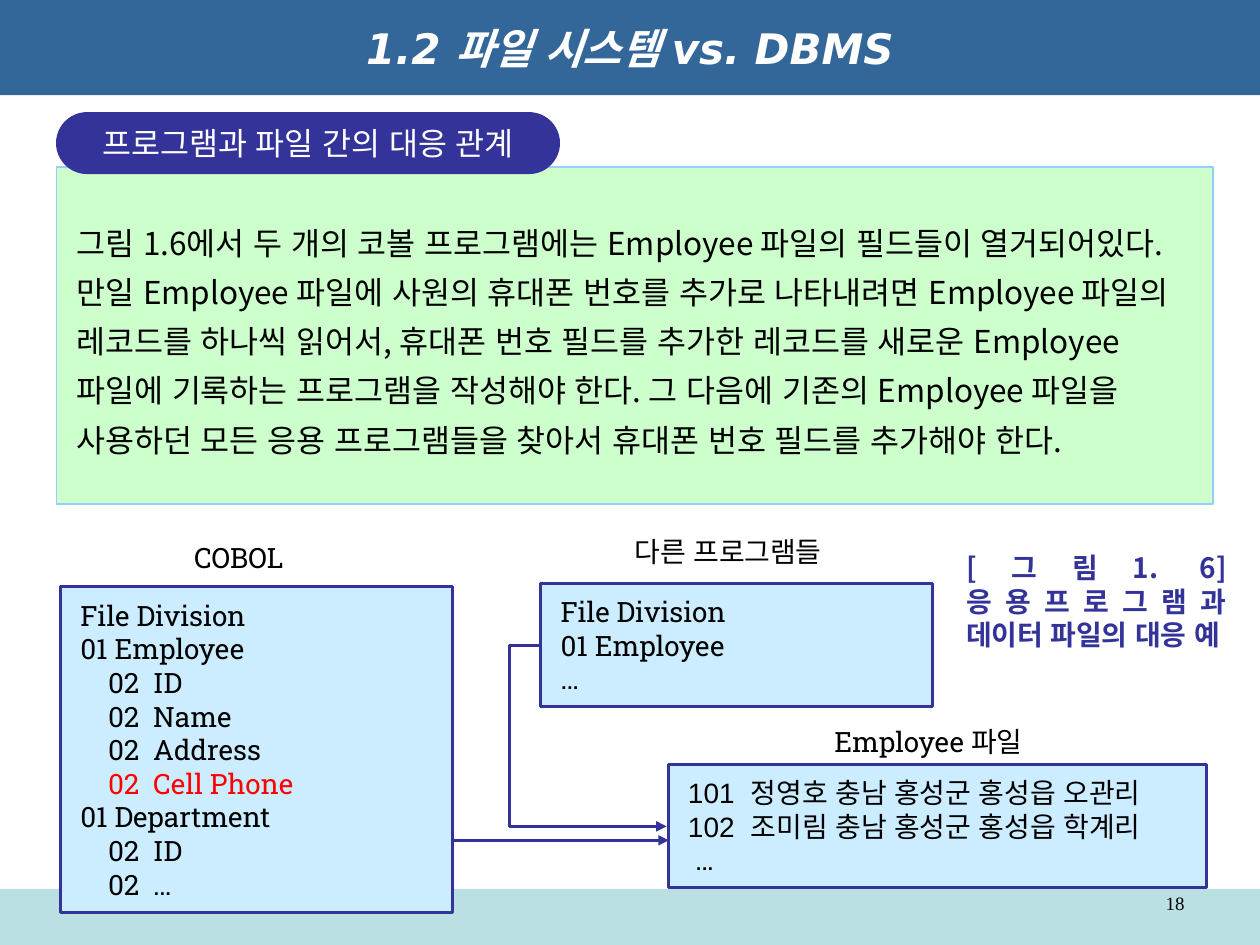
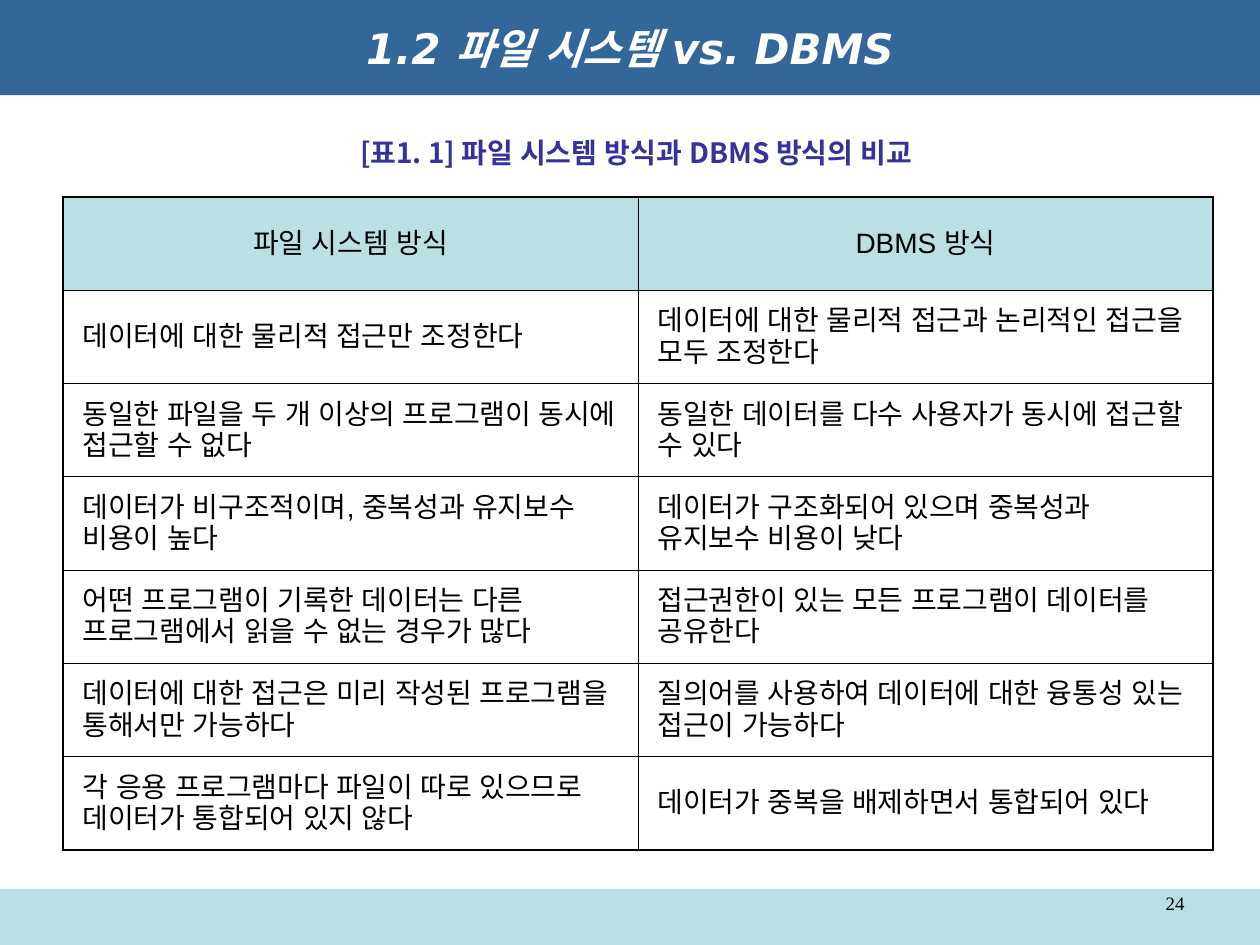
from dataclasses import dataclass

from lxml import etree
from pptx import Presentation
from pptx.dml.color import RGBColor
from pptx.enum.shapes import MSO_CONNECTOR, MSO_SHAPE
from pptx.enum.text import MSO_ANCHOR, PP_ALIGN
from pptx.oxml.ns import qn
from pptx.util import Cm, Pt

RECTANGLE, PILL = MSO_SHAPE.RECTANGLE, MSO_SHAPE.ROUNDED_RECTANGLE
STRAIGHT, ELBOW = MSO_CONNECTOR.STRAIGHT, MSO_CONNECTOR.ELBOW
LEFT, CENTER, RIGHT, JUSTIFY = PP_ALIGN.LEFT, PP_ALIGN.CENTER, PP_ALIGN.RIGHT, PP_ALIGN.JUSTIFY
TOP, MIDDLE = MSO_ANCHOR.TOP, MSO_ANCHOR.MIDDLE


@dataclass(frozen=True)
class Theme:
    title_band: str = "336699"
    footer_band: str = "BBE0E3"
    accent: str = "333399"
    note_fill: str = "CCFFCC"
    note_line: str = "99CCFF"
    code_fill: str = "CCECFF"
    highlight: str = "FF0000"
    ink: str = "000000"
    paper: str = "FFFFFF"
    title_font: str = "DejaVu Sans"
    body_font: str = "Noto Sans CJK KR"
    code_font: str = "Roboto Slab"
    table_font: str = "Arial"
    number_font: str = "Times New Roman"
    east_asian_font: str = "Arial"
    title_size: float = 24
    body_size: float = 18
    small_size: float = 16
    number_size: float = 10.8
    line_width: float = 1.75
    outer_border: float = 1.08
    inner_border: float = 0.45


theme = Theme()


def write(frame, text, font=theme.body_font, size=theme.small_size, color=theme.ink,
          bold=False, italic=False, align=LEFT, anchor=TOP, spacing=None,
          wrap=True, inset=(0.25, 0.13)):
    """Fill a text frame, one paragraph for each line of text."""
    frame.word_wrap = wrap
    frame.vertical_anchor = anchor
    frame.margin_left = frame.margin_right = Cm(inset[0])
    frame.margin_top = frame.margin_bottom = Cm(inset[1])
    for index, line in enumerate(text.split("\n")):
        paragraph = frame.add_paragraph() if index else frame.paragraphs[0]
        paragraph.alignment = align
        paragraph.line_spacing = spacing
        run = paragraph.add_run()
        run.text = line
        run.font.name, run.font.size = font, Pt(size)
        run.font.bold, run.font.italic = bold, italic
        run.font.color.rgb = RGBColor.from_string(color)
        east_asian = etree.SubElement(run.font._element, qn("a:ea"))
        east_asian.set("typeface", theme.east_asian_font)


def add_panel(slide, kind, area, fill, line=None, line_width=theme.line_width):
    """Add a filled shape; area is left, top, width, height in centimetres."""
    shape = slide.shapes.add_shape(kind, *map(Cm, area))
    shape.shadow.inherit = False
    shape.fill.solid()
    shape.fill.fore_color.rgb = RGBColor.from_string(fill)
    if line:
        shape.line.color.rgb = RGBColor.from_string(line)
        shape.line.width = Pt(line_width)
    else:
        shape.line.fill.background()
    return shape


presentation = Presentation()
presentation.slide_width, presentation.slide_height = Cm(25.4), Cm(19.05)
title_only = presentation.slide_layouts[5]

# Shared title band, footer band and page number
for page_number in ("18", "24"):
    slide = presentation.slides.add_slide(title_only)
    add_panel(slide, RECTANGLE, (0, 17.92, 25.4, 1.13), theme.footer_band)
    title = slide.shapes.title
    title.left, title.top, title.width, title.height = Cm(0), Cm(0), Cm(25.4), Cm(1.92)
    title.fill.solid()
    title.fill.fore_color.rgb = RGBColor.from_string(theme.title_band)
    write(title.text_frame, "1.2 파일 시스템 vs. DBMS", font=theme.title_font,
          size=theme.title_size, color=theme.paper, bold=True, italic=True,
          align=CENTER, anchor=MIDDLE)
    number = slide.shapes.add_textbox(Cm(18.21), Cm(17.93), Cm(5.92), Cm(0.74))
    write(number.text_frame, page_number, font=theme.number_font, size=theme.number_size,
          align=RIGHT, spacing=0.8)

mapping_slide, comparison_slide = presentation.slides

# Explanation with its heading pill
explanation = add_panel(mapping_slide, RECTANGLE, (1.14, 3.37, 23.31, 6.79),
                        theme.note_fill, theme.note_line, 1)
write(explanation.text_frame,
      "그림 1.6에서 두 개의 코볼 프로그램에는 Employee 파일의 필드들이 열거되어있다. "
      "만일 Employee 파일에 사원의 휴대폰 번호를 추가로 나타내려면 Employee 파일의 "
      "레코드를 하나씩 읽어서, 휴대폰 번호 필드를 추가한 레코드를 새로운 Employee 파일에 "
      "기록하는 프로그램을 작성해야 한다. 그 다음에 기존의 Employee 파일을 사용하던 모든 "
      "응용 프로그램들을 찾아서 휴대폰 번호 필드를 추가해야 한다.",
      size=theme.body_size, anchor=MIDDLE, spacing=1.3, inset=(0.4, 0.4))
heading = add_panel(mapping_slide, PILL, (1.13, 2.26, 10.16, 1.25), theme.accent)
heading.adjustments[0] = 0.5
write(heading.text_frame, "프로그램과 파일 간의 대응 관계", size=theme.body_size,
      color=theme.paper, align=CENTER, anchor=MIDDLE, wrap=False)

# Programs and the data file: label, label area, panel area, content
cobol_code = """File Division
01 Employee
    02  ID
    02  Name
    02  Address
    02  Cell Phone
01 Department
    02  ID
    02  …"""
panels = [
    ("COBOL", (3.38, 10.55, 2.87, 1.47), (1.22, 11.82, 7.9, 6.58), cobol_code),
    ("다른 프로그램들", (12.29, 10.44, 4.78, 1.47), (10.9, 11.76, 7.9, 2.49),
     "File Division\n01 Employee\n…"),
    ("Employee 파일", (16.29, 14.27, 4.85, 1.47), (13.47, 15.41, 10.86, 2.49),
     "정영호 충남 홍성군 홍성읍 오관리\n조미림 충남 홍성군 홍성읍 학계리\n…"),
]
frames = []
for label, label_area, panel_area, content in panels:
    panel = add_panel(mapping_slide, RECTANGLE, panel_area, theme.code_fill, theme.accent)
    write(panel.text_frame, content, font=theme.code_font, anchor=MIDDLE, wrap=False,
          inset=(0.4, 0.4))
    frames.append(panel.text_frame)
    label_box = mapping_slide.shapes.add_textbox(*map(Cm, label_area))
    write(label_box.text_frame, label, font=theme.code_font, align=CENTER, wrap=False,
          inset=(0.4, 0.4))
cobol_frame, _, file_frame = frames

# Added field, and record numbers counted from 101
cobol_frame.paragraphs[5].runs[0].font.color.rgb = RGBColor.from_string(theme.highlight)
*records, ellipsis = file_frame.paragraphs
for record in records:
    properties = record._p.get_or_add_pPr()
    properties.set("marL", str(Cm(1.27)))
    properties.set("indent", str(Cm(-1.27)))
    etree.SubElement(properties, qn("a:buFont")).set("typeface", theme.code_font)
    numbering = etree.SubElement(properties, qn("a:buAutoNum"))
    numbering.set("type", "arabicPlain")
    numbering.set("startAt", "101")
ellipsis._p.get_or_add_pPr().set("marL", str(Cm(0.15)))

# Arrows from the programs to the file
arrows = [
    (STRAIGHT, (9.09, 16.94, 13.48, 16.94), None),
    (ELBOW, (10.87, 13.01, 13.44, 16.66), -23500),
]
for kind, ends, bend in arrows:
    arrow = mapping_slide.shapes.add_connector(kind, *map(Cm, ends))
    arrow.line.color.rgb = RGBColor.from_string(theme.accent)
    arrow.line.width = Pt(theme.line_width)
    etree.SubElement(arrow.line._get_or_add_ln(), qn("a:tailEnd")).set("type", "triangle")
    etree.SubElement(arrow._element.spPr, qn("a:effectLst"))
    if bend:
        guide = etree.SubElement(arrow._element.spPr.prstGeom.get_or_add_avLst(), qn("a:gd"))
        guide.set("name", "adj1")
        guide.set("fmla", f"val {bend}")

# Captions of the figure and the table
captions = [
    (mapping_slide, (19.23, 10.97, 5.75, 2.97), JUSTIFY,
     "[그림1. 6] 응용프로그램과 데이터 파일의 대응 예"),
    (comparison_slide, (4.39, 2.6, 16.87, 0.94), CENTER,
     "[표1. 1] 파일 시스템 방식과 DBMS 방식의 비교"),
]
for slide, area, align, text in captions:
    caption = slide.shapes.add_textbox(*map(Cm, area))
    write(caption.text_frame, text, color=theme.accent, bold=True, align=align)

# Comparison table
rows = [
    ("파일 시스템 방식", "DBMS 방식"),
    ("데이터에 대한 물리적 접근만 조정한다",
     "데이터에 대한 물리적 접근과 논리적인 접근을 모두 조정한다"),
    ("동일한 파일을 두 개 이상의 프로그램이 동시에 접근할 수 없다",
     "동일한 데이터를 다수 사용자가 동시에 접근할 수 있다"),
    ("데이터가 비구조적이며, 중복성과 유지보수 비용이 높다",
     "데이터가 구조화되어 있으며 중복성과 유지보수 비용이 낮다"),
    ("어떤 프로그램이 기록한 데이터는 다른 프로그램에서 읽을 수 없는 경우가 많다",
     "접근권한이 있는 모든 프로그램이 데이터를 공유한다"),
    ("데이터에 대한 접근은 미리 작성된 프로그램을 통해서만 가능하다",
     "질의어를 사용하여 데이터에 대한 융통성 있는 접근이 가능하다"),
    ("각 응용 프로그램마다 파일이 따로 있으므로 데이터가 통합되어 있지 않다",
     "데이터가 중복을 배제하면서 통합되어 있다"),
]
table = comparison_slide.shapes.add_table(
    len(rows), 2, Cm(1.27), Cm(3.97), Cm(23.18), Cm(13.16)).table
table.first_row = table.horz_banding = False
for row_index, row in enumerate(rows):
    for column_index, text in enumerate(row):
        cell = table.cell(row_index, column_index)
        is_header = row_index == 0
        write(cell.text_frame, text, font=theme.table_font,
              align=CENTER if is_header else LEFT)
        cell.vertical_anchor = MIDDLE
        cell.margin_left = cell.margin_right = Cm(0.4)
        cell.margin_top = cell.margin_bottom = Cm(0.13)
        outer_sides = {"L": column_index == 0, "R": column_index == 1,
                       "T": is_header, "B": row_index == len(rows) - 1}
        for side, is_outer in outer_sides.items():
            border = etree.SubElement(cell._tc.get_or_add_tcPr(), qn(f"a:ln{side}"))
            border.set("w", str(Pt(theme.outer_border if is_outer else theme.inner_border)))
            border_fill = etree.SubElement(border, qn("a:solidFill"))
            etree.SubElement(border_fill, qn("a:srgbClr")).set("val", theme.ink)
        cell.fill.solid()
        cell.fill.fore_color.rgb = RGBColor.from_string(
            theme.footer_band if is_header else theme.paper)

presentation.save("out.pptx")
